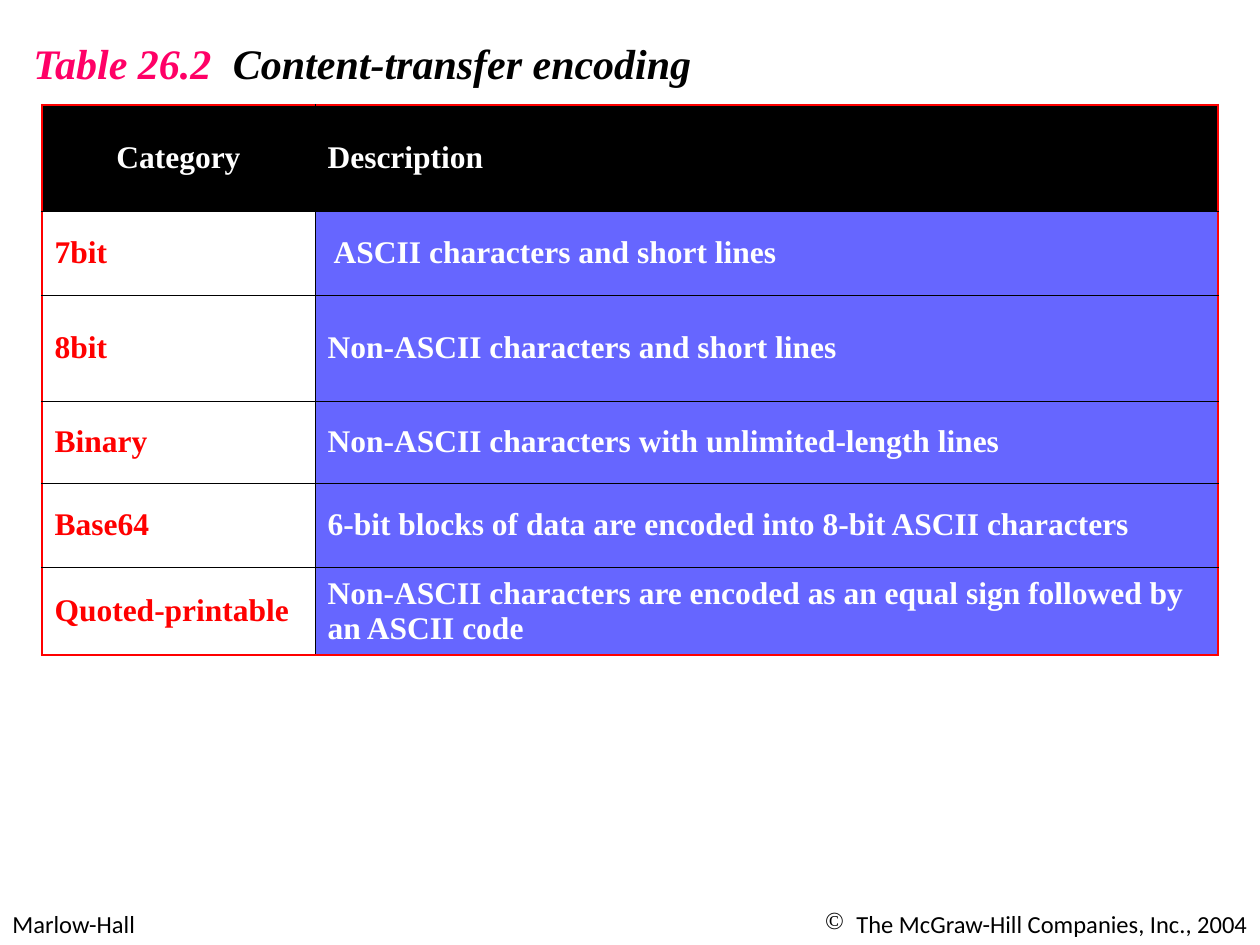
from lxml import etree
from pptx import Presentation
from pptx.dml.color import RGBColor
from pptx.enum.text import MSO_ANCHOR, PP_ALIGN
from pptx.oxml.ns import qn
from pptx.util import Inches, Pt

LEFT, CENTER, RIGHT = PP_ALIGN.LEFT, PP_ALIGN.CENTER, PP_ALIGN.RIGHT
MIDDLE = MSO_ANCHOR.MIDDLE
COLS, ROWS = 60, 45
UNIT = Inches(10) / COLS
HUE = {"black": "000000", "white": "FFFFFF", "red": "FF0000",
       "blue": "6666FF", "pink": "FF0066"}
HEAD = {"name": "Times New Roman", "size": Pt(24), "bold": True, "italic": True}
CELL = {"name": "Times New Roman", "size": Pt(18), "bold": True}
FOOT = {"name": "Calibri", "size": Pt(14)}
WIDTHS = [13, 43]
HEIGHTS = [5.05, 4, 5.05, 3.9, 4, 4.2]
DATA = [
    ("Category", "Description"),
    ("7bit", " ASCII characters and short lines"),
    ("8bit", "Non-ASCII characters and short lines"),
    ("Binary", "Non-ASCII characters with unlimited-length lines"),
    ("Base64", "6-bit blocks of data are encoded into 8-bit ASCII characters"),
    ("Quoted-printable",
     "Non-ASCII characters are encoded as an equal sign followed by an ASCII code"),
]


def grid(n):
    return round(n * UNIT)


def add_run(para, text, form, hue):
    run = para.add_run()
    run.text = text
    for key, value in form.items():
        setattr(run.font, key, value)
    run.font.color.rgb = RGBColor.from_string(HUE[hue])


def add_text(slide, box, align=LEFT):
    frame = slide.shapes.add_textbox(*map(grid, box)).text_frame
    frame.word_wrap = True
    para = frame.paragraphs[0]
    para.alignment = align
    return para


def add_title(slide, box):
    para = add_text(slide, box)
    tabs = etree.SubElement(para._p.get_or_add_pPr(), qn("a:tabLst"))
    etree.SubElement(tabs, qn("a:tab"), pos=str(grid(9.5)), algn="l")
    add_run(para, "Table 26.2\t", HEAD, "pink")
    add_run(para, "Content-transfer encoding", HEAD, "black")


def add_foot(slide, box):
    left, top, width, height = box
    half = width / 2
    para = add_text(slide, (left, top, half, height))
    add_run(para, "Marlow-Hall", FOOT, "black")
    para = add_text(slide, (left + half, top, half, height), RIGHT)
    props = para._p.get_or_add_pPr()
    props.set("marL", str(grid(1.5)))
    props.set("indent", str(-grid(1.5)))
    etree.SubElement(props, qn("a:buChar"), char="©")
    add_run(para, "The McGraw-Hill Companies, Inc., 2004", FOOT, "black")


def add_edge(cell, side, outer):
    width, hue = (1.47, "red") if outer else (0.45, "black")
    line = etree.SubElement(cell._tc.get_or_add_tcPr(), qn("a:ln" + side),
                            w=str(Pt(width)))
    fill = etree.SubElement(line, qn("a:solidFill"))
    etree.SubElement(fill, qn("a:srgbClr"), val=HUE[hue])


def add_cell(cell, row, col):
    last_row, last_col = len(DATA) - 1, len(WIDTHS) - 1
    edges = {"L": col == 0, "R": col == last_col,
             "T": row == 0, "B": row == last_row}
    for side, outer in edges.items():
        add_edge(cell, side, outer)
    back = "black" if row == 0 else ("white", "blue")[col]
    cell.fill.solid()
    cell.fill.fore_color.rgb = RGBColor.from_string(HUE[back])
    cell.vertical_anchor = MIDDLE
    para = cell.text_frame.paragraphs[0]
    para.alignment = CENTER if row == col == 0 else LEFT
    ink = "red" if back == "white" else "white"
    add_run(para, DATA[row][col], CELL, ink)


def add_grid(slide, box):
    table = slide.shapes.add_table(len(DATA), len(WIDTHS), *map(grid, box)).table
    table.horz_banding = False
    for col, width in zip(table.columns, WIDTHS):
        col.width = grid(width)
    for row, height in zip(table.rows, HEIGHTS):
        row.height = grid(height)
    for row in range(len(DATA)):
        for col in range(len(WIDTHS)):
            add_cell(table.cell(row, col), row, col)


def main():
    deck = Presentation()
    deck.slide_width, deck.slide_height = grid(COLS), grid(ROWS)
    slide = deck.slides.add_slide(deck.slide_layouts[6])
    add_foot(slide, (0, 43, COLS, 2))
    add_title(slide, (1, 1.5, 32.7, 3))
    add_grid(slide, (2, 5, sum(WIDTHS), sum(HEIGHTS)))
    deck.save("out.pptx")


if __name__ == "__main__":
    main()
